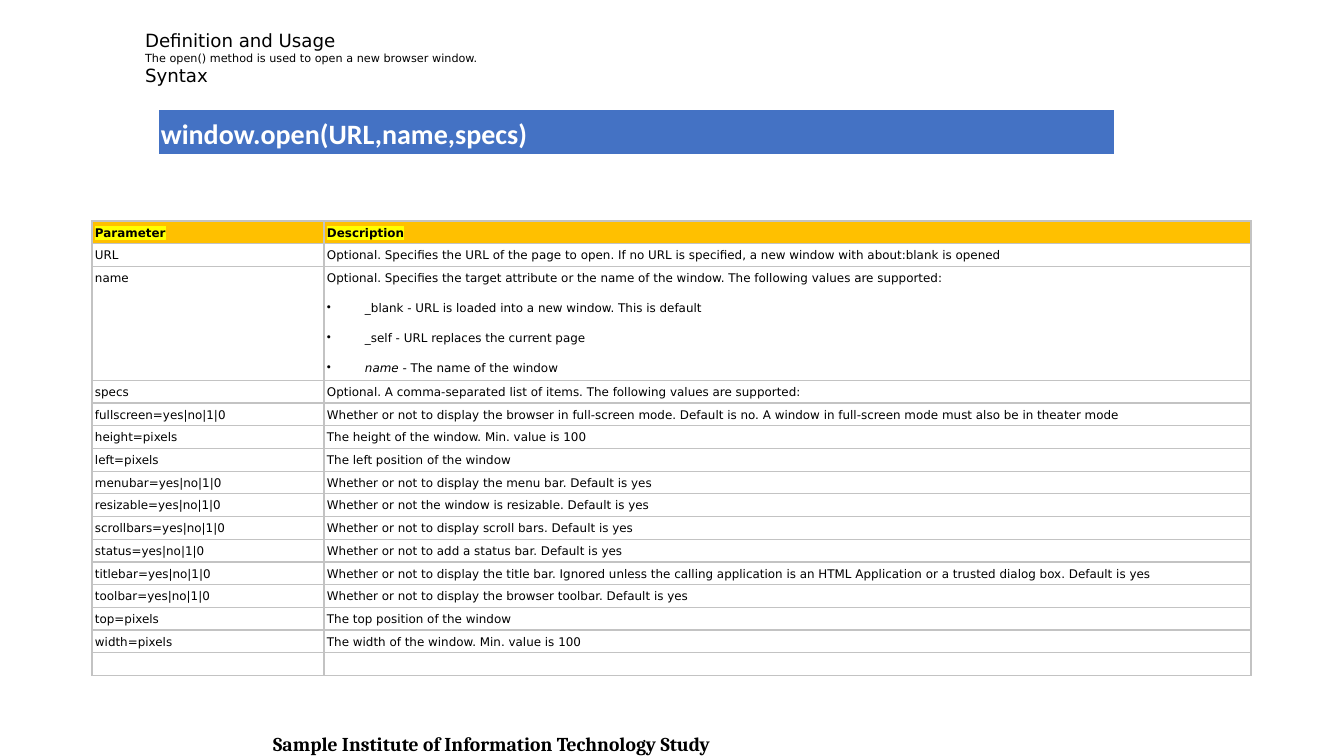
import pptx
import pptx.dml.color
import pptx.enum.text
import pptx.oxml.ns
import pptx.util
from lxml import etree

PX = 12192000 / 1344
BLACK = pptx.dml.color.RGBColor(0x00, 0x00, 0x00)
WHITE = pptx.dml.color.RGBColor(0xFF, 0xFF, 0xFF)
BLUE = pptx.dml.color.RGBColor(0x44, 0x72, 0xC4)
AMBER = pptx.dml.color.RGBColor(0xFF, 0xC0, 0x00)
YELLOW = pptx.dml.color.RGBColor(0xFF, 0xFF, 0x00)
GREY = pptx.dml.color.RGBColor(0xC3, 0xC3, 0xC3)
BODY_FONT = "DejaVu Sans"
qn = pptx.oxml.ns.qn


def px(length):
    return pptx.util.Emu(round(length * PX))


def format_cell(cell, fill, border, bottom_width, margin, font_name, size, color, bold):
    if fill is None:
        cell.fill.background()
    else:
        cell.fill.solid()
        cell.fill.fore_color.rgb = fill
    cell.margin_left = cell.margin_right = px(3)
    cell.margin_top = cell.margin_bottom = px(margin)
    properties = cell._tc.get_or_add_tcPr()
    for position, side in enumerate(("lnL", "lnR", "lnT", "lnB")):
        width = bottom_width if side == "lnB" else 1
        line = etree.Element(qn(f"a:{side}"), w=str(pptx.util.Pt(width)))
        line_fill = etree.SubElement(line, qn("a:solidFill"))
        etree.SubElement(line_fill, qn("a:srgbClr"), val=str(border))
        properties.insert(position, line)
    for paragraph in cell.text_frame.paragraphs:
        paragraph.line_spacing = 1.15
        paragraph.space_after = pptx.util.Pt(10)
        paragraph.font.name = font_name
        paragraph.font.size = pptx.util.Pt(size)
        paragraph.font.color.rgb = color
        paragraph.font.bold = bold
        if not paragraph.runs:
            etree.SubElement(paragraph._p, qn("a:endParaRPr"), sz=str(round(size * 100)))


presentation = pptx.Presentation()
presentation.slide_width = px(1344)
presentation.slide_height = px(756)
slide = presentation.slides.add_slide(presentation.slide_layouts[5])

footer = slide.shapes.add_textbox(px(25), px(727), px(938), px(34))
footer.text_frame.word_wrap = True
footer.text_frame.text = "Sample Institute of Information Technology Study "
paragraph = footer.text_frame.paragraphs[0]
paragraph.alignment = pptx.enum.text.PP_ALIGN.CENTER
paragraph.font.name = "Cambria"
paragraph.font.size = pptx.util.Pt(14)
paragraph.font.bold = True
paragraph.font.color.rgb = BLACK

syntax_frame = slide.shapes.add_table(1, 1, px(158), px(109), px(957), px(45))
syntax_table = syntax_frame.table
syntax_table.first_row = syntax_table.horz_banding = False
syntax_cell = syntax_table.cell(0, 0)
syntax_cell.text = "window.open(URL,name,specs)"
syntax_cell.vertical_anchor = pptx.enum.text.MSO_ANCHOR.MIDDLE
format_cell(syntax_cell, BLUE, WHITE, 3, 4, "Calibri", 20, WHITE, True)

title = slide.shapes.title
title.left, title.top, title.width, title.height = px(135), px(24), px(1145), px(68)
title.text_frame.text = (
    "Definition and Usage\nThe open() method is used to open a new browser window.\nSyntax"
)
title.text_frame.auto_size = pptx.enum.text.MSO_AUTO_SIZE.NONE
title.text_frame.vertical_anchor = pptx.enum.text.MSO_ANCHOR.MIDDLE
for paragraph, size in zip(title.text_frame.paragraphs, (13, 8, 13)):
    paragraph.alignment = pptx.enum.text.PP_ALIGN.LEFT
    paragraph.font.name = BODY_FONT
    paragraph.font.size = pptx.util.Pt(size)
    paragraph.font.color.rgb = BLACK

PARAMETERS = [
    ("Parameter", "Description"),
    ("URL", "Optional. Specifies the URL of the page to open. If no URL is specified, "
            "a new window with about:blank is opened"),
    ("name", "Optional. Specifies the target attribute or the name of the window. "
             "The following values are supported:\n"
             "_blank - URL is loaded into a new window. This is default\n"
             "_self - URL replaces the current page\n"
             "name"),
    ("specs", "Optional. A comma-separated list of items. The following values are supported:"),
    ("fullscreen=yes|no|1|0", "Whether or not to display the browser in full-screen mode. "
                              "Default is no. A window in full-screen mode must also be in theater mode"),
    ("height=pixels", "The height of the window. Min. value is 100"),
    ("left=pixels", "The left position of the window"),
    ("menubar=yes|no|1|0", "Whether or not to display the menu bar. Default is yes"),
    ("resizable=yes|no|1|0", "Whether or not the window is resizable. Default is yes"),
    ("scrollbars=yes|no|1|0", "Whether or not to display scroll bars. Default is yes"),
    ("status=yes|no|1|0", "Whether or not to add a status bar. Default is yes"),
    ("titlebar=yes|no|1|0", "Whether or not to display the title bar. Ignored unless the calling "
                            "application is an HTML Application or a trusted dialog box. Default is yes"),
    ("toolbar=yes|no|1|0", "Whether or not to display the browser toolbar. Default is yes"),
    ("top=pixels", "The top position of the window"),
    ("width=pixels", "The width of the window. Min. value is 100"),
    ("", ""),
]
NAME_ROW = 2
TABLE_HEIGHT = 455
NAME_ROW_HEIGHT = 114
row_height = (TABLE_HEIGHT - NAME_ROW_HEIGHT) / (len(PARAMETERS) - 1)

parameter_frame = slide.shapes.add_table(
    len(PARAMETERS), 2, px(92), px(221), px(1159), px(TABLE_HEIGHT)
)
parameter_table = parameter_frame.table
parameter_table.first_row = parameter_table.horz_banding = False
parameter_table.columns[0].width = px(232)
parameter_table.columns[1].width = px(927)
for row_index, texts in enumerate(PARAMETERS):
    is_header = row_index == 0
    parameter_table.rows[row_index].height = px(
        NAME_ROW_HEIGHT if row_index == NAME_ROW else row_height
    )
    for column_index, text in enumerate(texts):
        cell = parameter_table.cell(row_index, column_index)
        cell.text = text
        format_cell(cell, AMBER if is_header else None, GREY, 1, 3, BODY_FONT, 8.5, BLACK, is_header)
        if is_header:
            run_properties = cell.text_frame.paragraphs[0].runs[0]._r.get_or_add_rPr()
            highlight = etree.SubElement(run_properties, qn("a:highlight"))
            etree.SubElement(highlight, qn("a:srgbClr"), val=str(YELLOW))

window_names = parameter_table.cell(NAME_ROW, 1).text_frame.paragraphs[1:]
for paragraph in window_names:
    properties = paragraph._p.get_or_add_pPr()
    properties.set("marL", str(px(38)))
    properties.set("indent", str(-px(38)))
    bullet = etree.Element(qn("a:buChar"), char="•")
    properties.find(qn("a:defRPr")).addprevious(bullet)
window_names[-1].runs[0].font.italic = True
window_names[-1].add_run().text = " - The name of the window"

presentation.save("out.pptx")
